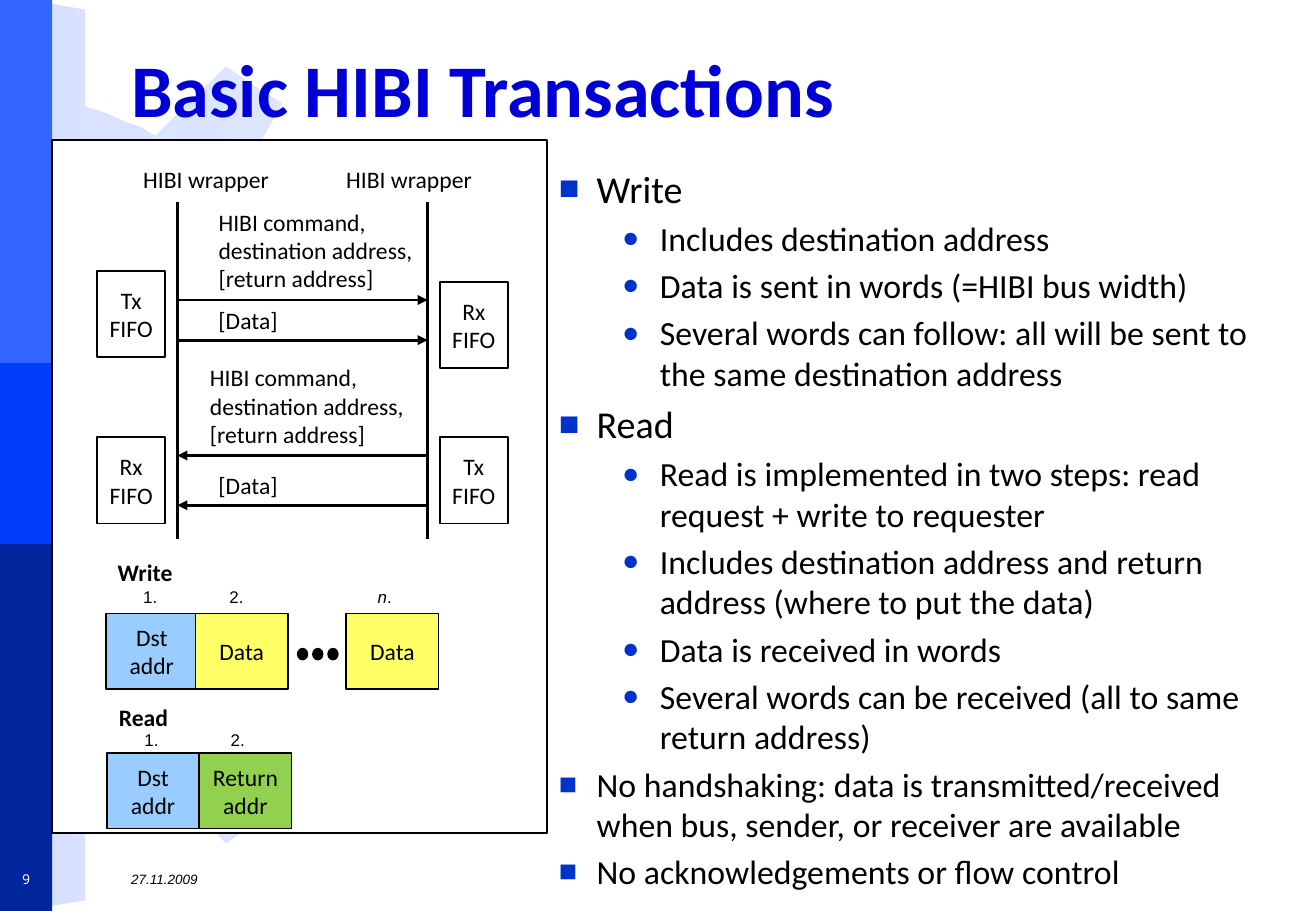
"""Build the slide about basic HIBI transactions."""
import dataclasses

import pptx
import pptx.dml.color
import pptx.enum.shapes
import pptx.enum.text
import pptx.oxml.ns
import pptx.util
from lxml import etree

STEP = pptx.util.Inches(0.1)
SHAPES = pptx.enum.shapes.MSO_SHAPE
ALIGN = pptx.enum.text.PP_ALIGN
ANCHOR = pptx.enum.text.MSO_ANCHOR


@dataclasses.dataclass(frozen=True)
class Theme:
    """Colours, fonts and type sizes of the slide."""
    black: str = "000000"
    white: str = "FFFFFF"
    title: str = "0000D6"
    bullet: str = "0033CC"
    band_top: str = "3366FF"
    band_middle: str = "003CFC"
    band_bottom: str = "00259C"
    gear: tuple = ("D7E1FF", "E3EAFF")
    address: str = "99CCFF"
    data: str = "FFFF66"
    reply: str = "92D050"
    font: str = "Calibri"
    small_font: str = "Arial"
    number_font: str = "Noto Sans Mono"
    title_size: float = 44
    topic_size: float = 22.5
    body_size: float = 20
    label_size: float = 14
    index_size: float = 10
    footer_size: float = 8
    thin: float = 1
    thick: float = 1.75


THEME = Theme()
GEAR_TOP = [
    (37, 37.3), (37, 35.9), (36.7, 34.7), (28.6, 33.4), (28.3, 32), (28.1, 30.5),
    (27.5, 29.1), (27.3, 27.3), (33.8, 22.7), (33.3, 21.4), (32.7, 20.4), (31.4, 18),
    (23.6, 20.5), (21.5, 18), (19.2, 15.7), (23.2, 8.5), (20.8, 7), (18.6, 5.5),
    (12.8, 11.2), (11.4, 10.4), (10, 9.9), (8.7, 9.3), (7, 8.8), (7, 0.8), (4.2, 0.3),
    (1.4, 0), (1.4, 17.6), (4.2, 18.1), (6.5, 19.1), (8.9, 20.1), (11.1, 21.6),
    (13, 23.4), (14.7, 25.3), (16, 27.6), (17.3, 29.9), (0, 29.9)]
GEAR_HEIGHT = 74.9
TOPICS = [
    ("Write", 0, THEME.topic_size),
    ("Includes destination address", 1, THEME.body_size),
    ("Data is sent in words (=HIBI bus width)", 1, THEME.body_size),
    ("Several words can follow: all will be sent to the same destination address",
     1, THEME.body_size),
    ("Read", 0, THEME.topic_size),
    ("Read is implemented in two steps: read request + write to requester",
     1, THEME.body_size),
    ("Includes destination address and return address (where to put the data)",
     1, THEME.body_size),
    ("Data is received in words", 1, THEME.body_size),
    ("Several words can be received (all to same return address)", 1, THEME.body_size),
    ("No handshaking: data is transmitted/received when bus, sender, or receiver "
     "are available", 0, THEME.body_size),
    ("No acknowledgements or flow control", 0, THEME.body_size)]


def grid(*cells):
    """Turn grid cells into lengths."""
    return [pptx.util.Emu(round(cell * STEP)) for cell in cells]


def rgb(color):
    """Return a colour object for a hexadecimal colour."""
    return pptx.dml.color.RGBColor.from_string(color)


def write(paragraph, text, size=THEME.label_size, color=THEME.black, font=THEME.font,
          bold=False, italic=False):
    """Add a formatted run to a paragraph."""
    run = paragraph.add_run()
    run.text = text
    run.font.size = pptx.util.Pt(size)
    run.font.name = font
    run.font.bold = bold
    run.font.italic = italic
    run.font.color.rgb = rgb(color)


def add_label(slide, text, area, align=ALIGN.LEFT, anchor=ANCHOR.TOP, **style):
    """Add a text box with one paragraph for each line of text."""
    label = slide.shapes.add_textbox(*grid(*area))
    frame = label.text_frame
    frame.word_wrap = True
    frame.vertical_anchor = anchor
    if align == ALIGN.LEFT:
        frame.margin_right = 0
    for index, line in enumerate(text.split("\n")):
        paragraph = frame.add_paragraph() if index else frame.paragraphs[0]
        paragraph.alignment = align
        write(paragraph, line, **style)
    return label


def add_block(slide, area, fill, text="", outlined=True, kind=SHAPES.RECTANGLE):
    """Add a filled shape with optional outline and centred text."""
    block = slide.shapes.add_shape(kind, *grid(*area))
    block.shadow.inherit = False
    block.fill.solid()
    block.fill.fore_color.rgb = rgb(fill)
    if outlined:
        block.line.color.rgb = rgb(THEME.black)
        block.line.width = pptx.util.Pt(THEME.thin)
    else:
        block.line.fill.background()
    if text:
        block.text_frame.word_wrap = True
        block.text_frame.vertical_anchor = ANCHOR.MIDDLE
        paragraph = block.text_frame.paragraphs[0]
        paragraph.alignment = ALIGN.CENTER
        write(paragraph, text)


def add_line(slide, start, end, arrow=False):
    """Add a straight line, with an arrowhead at its end if wanted."""
    line = slide.shapes.add_connector(
        pptx.enum.shapes.MSO_CONNECTOR.STRAIGHT, *grid(*start, *end))
    line.line.color.rgb = rgb(THEME.black)
    line.line.width = pptx.util.Pt(THEME.thick)
    properties = line.element.spPr
    if arrow:
        outline = properties.find(pptx.oxml.ns.qn("a:ln"))
        etree.SubElement(outline, pptx.oxml.ns.qn("a:tailEnd"), type="triangle")
    etree.SubElement(properties, pptx.oxml.ns.qn("a:effectLst"))


def set_bullet(paragraph, character, percent, indent):
    """Give a paragraph a coloured bullet and a hanging indent."""
    properties = paragraph._p.get_or_add_pPr()
    properties.set("marL", str(pptx.util.Inches(indent)))
    properties.set("indent", str(pptx.util.Inches(-0.31)))
    color = etree.SubElement(properties, pptx.oxml.ns.qn("a:buClr"))
    etree.SubElement(color, pptx.oxml.ns.qn("a:srgbClr"), val=THEME.bullet)
    etree.SubElement(properties, pptx.oxml.ns.qn("a:buSzPct"), val=str(percent * 1000))
    etree.SubElement(properties, pptx.oxml.ns.qn("a:buFont"), typeface=THEME.small_font)
    etree.SubElement(properties, pptx.oxml.ns.qn("a:buChar"), char=character)


def place_placeholder(slide, placeholder, area, anchor):
    """Move a placeholder to an area in front and return its text frame."""
    placeholder.left, placeholder.top, placeholder.width, placeholder.height = grid(*area)
    slide.shapes.element.append(placeholder.element)
    frame = placeholder.text_frame
    frame.auto_size = pptx.enum.text.MSO_AUTO_SIZE.NONE
    frame.vertical_anchor = anchor
    return frame


def add_backdrop(slide):
    """Draw the gear, the side bands and the diagram panel."""
    mirrored = [(x, GEAR_HEIGHT - y) for x, y in reversed(GEAR_TOP)]
    start, *points = [grid(*point) for point in GEAR_TOP + mirrored]
    builder = slide.shapes.build_freeform(*start, scale=1.0)
    builder.add_line_segments(points, close=True)
    gear = builder.convert_to_shape()
    gear.shadow.inherit = False
    gear.line.fill.background()
    gear.fill.gradient()
    gear.fill.gradient_angle = 0
    for stop, color in zip(gear.fill.gradient_stops, THEME.gear):
        stop.color.rgb = rgb(color)
    for top, height, color in [(0, 30.5, THEME.band_top), (44.6, 30.4, THEME.band_bottom),
                               (29.9, 14.9, THEME.band_middle)]:
        add_block(slide, (0, top, 4.3, height), color, outlined=False)
    add_block(slide, (4.3, 11.5, 40.7, 57.1), THEME.white)


def add_texts(slide):
    """Fill the title, the bullet list and the footer."""
    title = place_placeholder(slide, slide.shapes.title, (9.8, 2.1, 93.9, 9.4), ANCHOR.BOTTOM)
    heading = title.paragraphs[0]
    heading.alignment = ALIGN.LEFT
    heading.line_spacing = 0.9
    write(heading, "Basic HIBI Transactions", size=THEME.title_size,
          color=THEME.title, bold=True)
    body = place_placeholder(slide, slide.placeholders[1], (45, 13.1, 60.7, 56.8), ANCHOR.TOP)
    bullets = [("■", 90, 0.31), ("●", 85, 0.83)]
    for index, (text, level, size) in enumerate(TOPICS):
        paragraph = body.add_paragraph() if index else body.paragraphs[0]
        paragraph.level = level
        set_bullet(paragraph, *bullets[level])
        paragraph.space_before = pptx.util.Pt(0.2 * size if index else 0)
        write(paragraph, text, size=size)
    add_label(slide, "27.11.2009", (9.8, 71.1, 93.9, 2.6), anchor=ANCHOR.MIDDLE,
              size=THEME.footer_size, font=THEME.small_font, italic=True)
    add_label(slide, "9", (0, 71.1, 4.3, 2.6), align=ALIGN.CENTER, anchor=ANCHOR.MIDDLE,
              size=THEME.footer_size, font=THEME.number_font, color=THEME.white)


def add_sequence(slide):
    """Draw the message sequence between the two wrappers."""
    sender, receiver = 14.6, 35.2
    for left, lifeline in [(10.8, sender), (27.5, receiver)]:
        add_label(slide, "HIBI wrapper", (left, 13.1, 12.5, 3.4))
        add_line(slide, (lifeline, 16.6), (lifeline, 44.4))
    command = "HIBI command,\ndestination address,\n[return address]"
    for text, left, top, width, height in [
            (command, 17, 16.6, 18.2, 8.1), ("[Data]", 17, 24.7, 7, 3.4),
            (command, 16.3, 29.4, 18.3, 8.1), ("[Data]", 17, 38.3, 7, 3.4)]:
        add_label(slide, text, (left, top, width, height))
    for start, end, row in [(sender, receiver, 24.7), (sender, receiver, 28),
                            (receiver, sender, 37.5), (receiver, sender, 41.6)]:
        add_line(slide, (start, row), (end, row), arrow=True)
    for text, left, top in [("Rx FIFO", 36.2, 23.2), ("Tx FIFO", 36.2, 36),
                            ("Tx FIFO", 8, 22.3), ("Rx FIFO", 8, 36)]:
        add_block(slide, (left, top, 5.6, 7.1), THEME.white, text)


def add_words(slide):
    """Draw the words that make up a write and a read."""
    for text, left, top, fill in [
            ("Dst addr", 8.7, 50.5, THEME.address), ("Data", 16.1, 50.5, THEME.data),
            ("Data", 28.5, 50.5, THEME.data), ("Return addr", 16.4, 62, THEME.reply),
            ("Dst addr", 8.8, 62, THEME.address)]:
        add_block(slide, (left, top, 7.6, 6.2), fill, text)
    for dot in range(3):
        add_block(slide, (24.5 + 1.25 * dot, 53.4, 0.8, 0.9), THEME.black,
                  kind=SHAPES.OVAL)
    add_label(slide, "Write", (8.7, 45.4, 6.6, 3.4), bold=True)
    add_label(slide, "Read", (8.8, 57.4, 6.1, 3.4), bold=True)
    index_style = {"size": THEME.index_size, "font": THEME.small_font}
    for text, left, top in [("1.", 10.8, 47.8), ("2.", 17.9, 47.8),
                            ("1.", 10.9, 59.6), ("2.", 18, 59.6)]:
        add_label(slide, text, (left, top, 3.2, 2.7), **index_style)
    last = add_label(slide, "n", (30.1, 47.8, 3.2, 2.7), italic=True, **index_style)
    write(last.text_frame.paragraphs[0], ".", **index_style)


def main():
    """Build and save the presentation."""
    presentation = pptx.Presentation()
    presentation.slide_width, presentation.slide_height = grid(108.3, 75)
    slide = presentation.slides.add_slide(presentation.slide_layouts[1])
    add_backdrop(slide)
    add_texts(slide)
    add_sequence(slide)
    add_words(slide)
    presentation.save("out.pptx")


if __name__ == "__main__":
    main()
